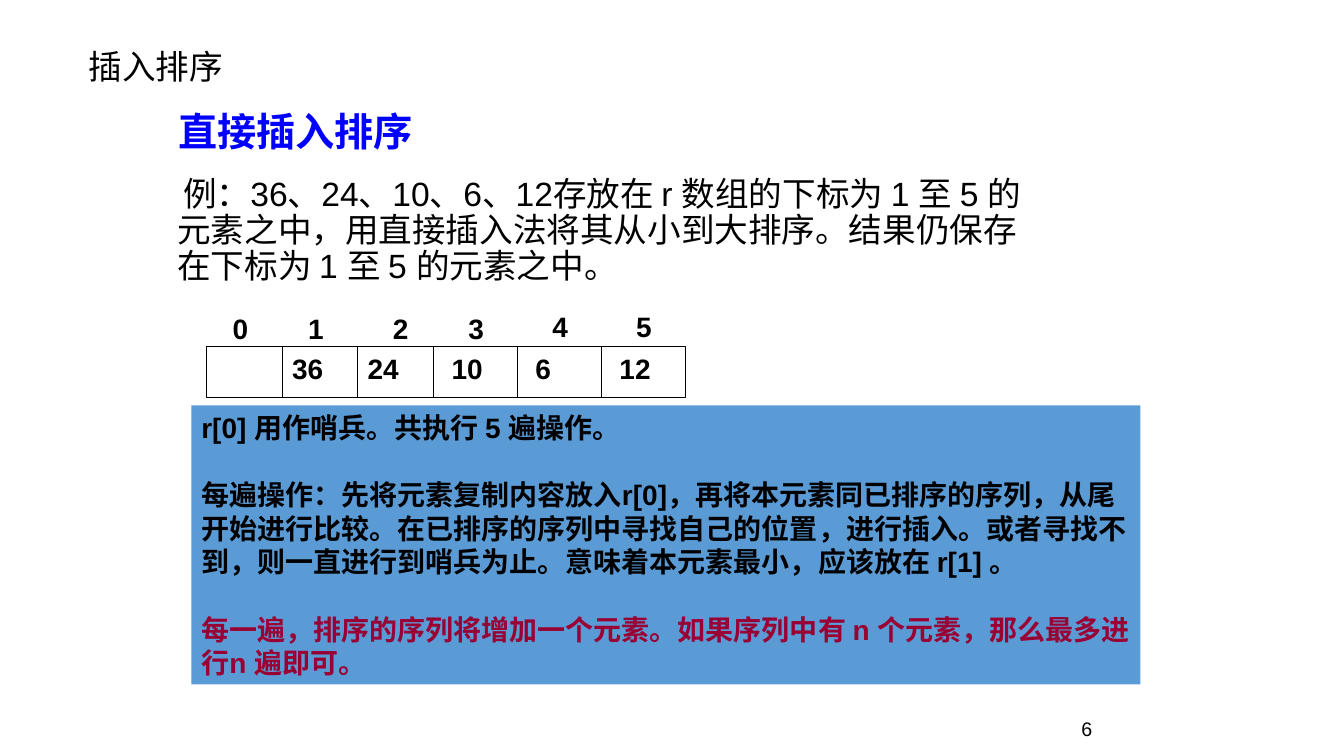
from dataclasses import dataclass
from itertools import accumulate

import pptx
import pptx.dml.color
import pptx.enum.shapes
import pptx.enum.text
import pptx.oxml
import pptx.oxml.ns
import pptx.util
from pptx.util import Pt

COLORS = {
    "black": "000000",
    "white": "FFFFFF",
    "heading": "0000FF",
    "panel": "5B9BD5",
    "emphasis": "990033",
}
CJK_FONT = "Noto Sans CJK SC"
ARRAY_LEFT, ARRAY_TOP, ARRAY_HEIGHT = 147.6, 247.7, 36
LABEL_HEIGHT = 31.7


@dataclass
class Style:
    size: float
    font: str = "Arial"
    color: str = "black"
    bold: bool = False


@dataclass
class Cell:
    value: str
    width: float
    index_offset: float
    index_top: float
    value_offset: float


LABEL = Style(20, bold=True)
CELLS = [
    Cell("", 54, 11.5, 218.9, 0),
    Cell("36", 54, 11.5, 218.9, 0),
    Cell("24", 54, 18, 218.9, 0),
    Cell("10", 60, 18, 218.9, 6),
    Cell("6", 60, 18, 217.4, 6),
    Cell("12", 60, 18, 217.4, 6),
]
NOTES = [
    ("r[0] 用作哨兵。共执行 5 遍操作。", LABEL),
    ("每遍操作：先将元素复制内容放入r[0]，再将本元素同已排序的序列，从尾开始进行比较。"
     "在已排序的序列中寻找自己的位置，进行插入。或者寻找不到，则一直进行到哨兵为止。"
     "意味着本元素最小，应该放在 r[1] 。", LABEL),
    ("每一遍，排序的序列将增加一个元素。如果序列中有 n 个元素，那么最多进行n 遍即可。",
     Style(20, color="emphasis", bold=True)),
]


def rgb(name: str) -> pptx.dml.color.RGBColor:
    return pptx.dml.color.RGBColor.from_string(COLORS[name])


def write(para, text: str, style: Style) -> None:
    para.text = text
    for span in para.runs:
        span.font.size = Pt(style.size)
        span.font.name = style.font
        span.font.bold = style.bold
        span.font.color.rgb = rgb(style.color)
        east_asian = pptx.oxml.parse_xml(
            f'<a:ea {pptx.oxml.ns.nsdecls("a")} typeface="{CJK_FONT}"/>')
        span.font._element.append(east_asian)


def add_text(page, left: float, top: float, width: float, height: float,
             text: str, style: Style):
    box = page.shapes.add_textbox(Pt(left), Pt(top), Pt(width), Pt(height))
    box.text_frame.word_wrap = True
    write(box.text_frame.paragraphs[0], text, style)
    return box


def add_rectangle(page, left: float, top: float, width: float, height: float, fill: str):
    box = page.shapes.add_shape(pptx.enum.shapes.MSO_SHAPE.RECTANGLE,
                                Pt(left), Pt(top), Pt(width), Pt(height))
    box.shadow.inherit = False
    box.fill.solid()
    box.fill.fore_color.rgb = rgb(fill)
    return box


def add_divider(page, x: float) -> None:
    line = page.shapes.add_connector(
        pptx.enum.shapes.MSO_CONNECTOR.STRAIGHT,
        Pt(x), Pt(ARRAY_TOP), Pt(x), Pt(ARRAY_TOP + ARRAY_HEIGHT))
    line.line.color.rgb = rgb("black")
    line.line.width = Pt(0.75)
    line._element.spPr.append(
        pptx.oxml.parse_xml(f'<a:effectLst {pptx.oxml.ns.nsdecls("a")}/>'))


def add_title(page) -> None:
    title = page.shapes.title
    title.left, title.top, title.width, title.height = Pt(56.2), Pt(20.2), Pt(543.6), Pt(53.3)
    frame = title.text_frame
    frame.auto_size = pptx.enum.text.MSO_AUTO_SIZE.NONE
    frame.vertical_anchor = pptx.enum.text.MSO_ANCHOR.MIDDLE
    write(frame.paragraphs[0], "插入排序", Style(24, "Calibri"))
    frame.paragraphs[0].alignment = pptx.enum.text.PP_ALIGN.LEFT


def add_example(page) -> None:
    box = add_text(
        page, 52.6, 123.1, 692.6, 85,
        "例：36、24、10、6、12存放在 r 数组的下标为 1 至 5 的元素之中，"
        "用直接插入法将其从小到大排序。结果仍保存在下标为 1 至 5 的元素之中。", Style(24))
    para = box.text_frame.paragraphs[0]
    para.line_spacing = 0.9
    properties = para._p.get_or_add_pPr()
    properties.set("marL", str(Pt(67)))
    properties.set("indent", str(Pt(4.3)))


def add_notes(page) -> None:
    panel = add_rectangle(page, 136.8, 289.6, 678.2, 199.4, "panel")
    panel.line.fill.background()
    frame = panel.text_frame
    frame.word_wrap = True
    frame.vertical_anchor = pptx.enum.text.MSO_ANCHOR.TOP
    for position, (text, style) in enumerate(NOTES):
        para = frame.add_paragraph() if position else frame.paragraphs[0]
        write(para, text, style)
        para.alignment = pptx.enum.text.PP_ALIGN.LEFT
        if position:
            para.space_before = Pt(24)


def add_array(page) -> None:
    """Draw the boxed elements with their indices above."""
    frame = add_rectangle(page, ARRAY_LEFT, ARRAY_TOP,
                          sum(cell.width for cell in CELLS), ARRAY_HEIGHT, "white")
    frame.line.color.rgb = rgb("black")
    frame.line.width = Pt(0.75)
    edges = accumulate((cell.width for cell in CELLS), initial=ARRAY_LEFT)
    for index, (cell, left) in enumerate(zip(CELLS, edges)):
        if index:
            add_divider(page, left)
        add_text(page, left + cell.index_offset, cell.index_top, 24, LABEL_HEIGHT,
                 str(index), LABEL)
        if cell.value:
            add_text(page, left + cell.value_offset, ARRAY_TOP, 48, LABEL_HEIGHT,
                     cell.value, LABEL)


def add_page_number(page) -> None:
    box = add_text(page, 637.9, 496.8, 149.8, 36, "6", Style(14))
    box.text_frame.vertical_anchor = pptx.enum.text.MSO_ANCHOR.BOTTOM
    box.text_frame.paragraphs[0].alignment = pptx.enum.text.PP_ALIGN.RIGHT


def main() -> None:
    deck = pptx.Presentation()
    deck.slide_width, deck.slide_height = Pt(960.5), Pt(540)
    page = deck.slides.add_slide(deck.slide_layouts.get_by_name("Title Only"))
    add_page_number(page)
    add_notes(page)
    add_title(page)
    add_example(page)
    add_text(page, 120.2, 73.4, 308.9, 41, "直接插入排序",
             Style(28, CJK_FONT, "heading", True))
    add_array(page)
    deck.save("out.pptx")


if __name__ == "__main__":
    main()
